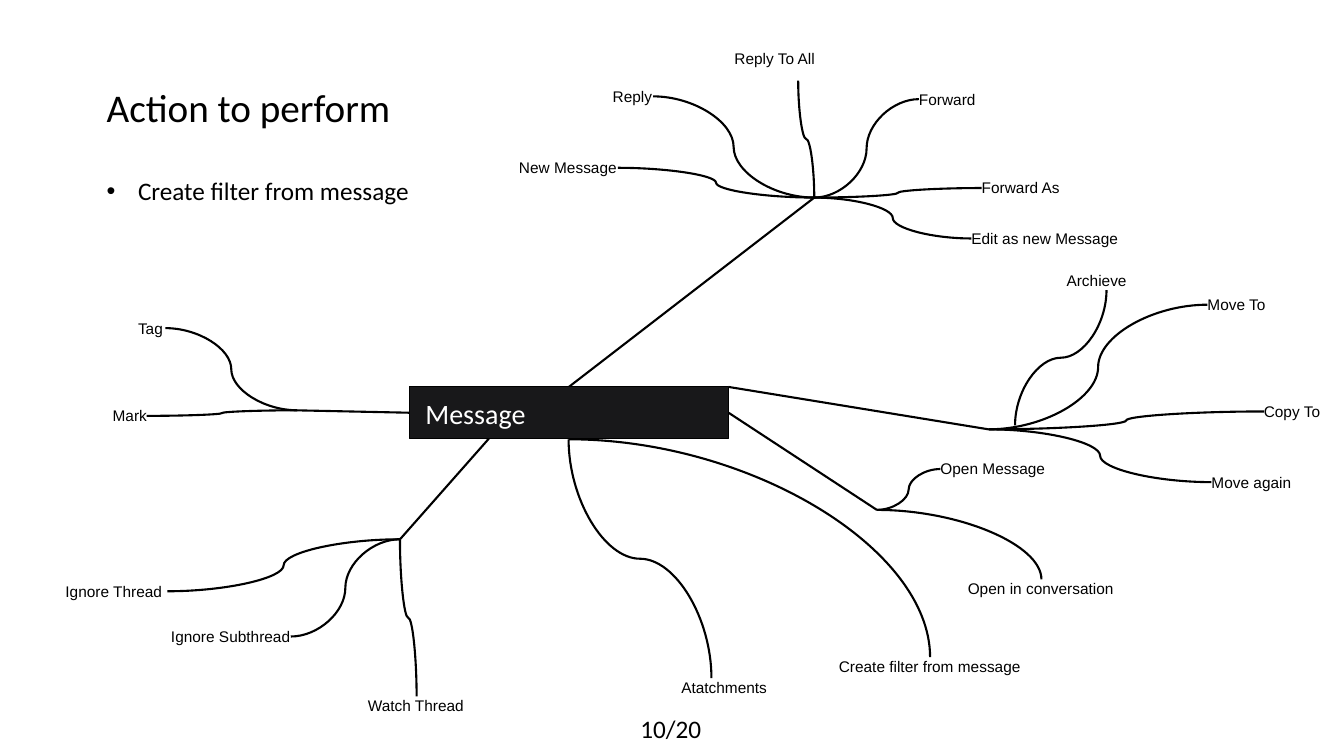
"""Build the mind map slide of actions on a message."""
from collections import namedtuple

from lxml import etree
from pptx import Presentation
from pptx.dml import color
from pptx.enum import shapes, text
from pptx.oxml import ns
from pptx.util import Cm, Pt

Box = namedtuple("Box", "left top width height")
Leaf = namedtuple("Leaf", "label left top width side corner anchor_shift hub_shift",
                  defaults=(False, (0, 0), (0, 0)))
Branch = namedtuple("Branch", "hub root leaves")

BLACK, WHITE, CHARCOAL = "000000", "FFFFFF", "18181A"
LABEL_HEIGHT, LABEL_SLACK = 0.48, 0.3
SIDES = {"left": (0, 0.5), "right": (1, 0.5), "top": (0.5, 0), "bottom": (0.5, 1)}

NODE = Box(10.31, 9.75, 8.05, 1.3)
BRANCHES = [
    Branch((20.52, 4.98), (0.5, 0), [
        Leaf("New Message", -7.44, -0.99, 2.49, "right"),
        Leaf("Reply", -5.08, -2.79, 1.02, "right"),
        Leaf("Reply To All", -2.01, -3.73, 2.11, "bottom", anchor_shift=(0.55, 0.3)),
        Leaf("Forward", 2.64, -2.72, 1.45, "left"),
        Leaf("Forward As", 4.22, -0.48, 2.01, "left"),
        Leaf("Edit as new Message", 3.96, 0.79, 3.73, "left"),
    ]),
    Branch((22.1, 12.85), (1, 0.5), [
        Leaf("Open Message", 1.6, -1.27, 2.64, "left"),
        Leaf("Open in conversation", 2.29, 1.75, 3.71, "top", corner=True),
    ]),
    Branch((7.49, 10.34), (0, 0.5), [
        Leaf("Tag", -4.01, -2.31, 0.69, "right"),
        Leaf("Mark", -4.65, -0.1, 0.86, "right"),
    ]),
    Branch((24.92, 10.82), (1, 0), [
        Leaf("Archieve", 1.96, -3.99, 2.01, "bottom", hub_shift=(0.66, -0.1)),
        Leaf("Move To", 5.51, -3.38, 1.85, "left"),
        Leaf("Copy To", 6.93, -0.69, 1.85, "left"),
        Leaf("Move again", 5.61, 1.09, 2.59, "left"),
    ]),
    Branch((10.08, 13.59), (0.25, 1), [
        Leaf("Ignore Thread", -8.43, 1.07, 2.57, "right"),
        Leaf("Ignore Subthread", -5.77, 2.21, 3.02, "right"),
        Leaf("Watch Thread", -0.81, 3.96, 2.46, "top"),
    ]),
    Branch((14.33, 11.07), None, [
        Leaf("Atatchments", 2.84, 6.02, 2.18, "top", anchor_shift=(-0.33, 0)),
        Leaf("Create filter from message", 6.81, 5.49, 4.6, "top", corner=True),
    ]),
]


def rgb(value):
    """Return the colour for a hex string."""
    return color.RGBColor.from_string(value)


def point_on(box, fractions):
    """Return the point at the given fractions of a box."""
    return box.left + box.width * fractions[0], box.top + box.height * fractions[1]


def add_text(page, box, words, size, font="Calibri", ink=BLACK, inset=True):
    """Add one line of text and return its paragraph."""
    frame = page.shapes.add_textbox(*map(Cm, box)).text_frame
    frame.word_wrap = True
    frame.auto_size = text.MSO_AUTO_SIZE.SHAPE_TO_FIT_TEXT
    if not inset:
        frame.margin_left = frame.margin_right = frame.margin_top = frame.margin_bottom = 0
    frame.text = words
    para = frame.paragraphs[0]
    span = para.runs[0]
    span.font.name, span.font.size = font, Pt(size)
    span.font.color.rgb = rgb(ink)
    return para


def add_line(page, start, end, kind=shapes.MSO_CONNECTOR.STRAIGHT):
    """Add a plain black connector between two points."""
    line = page.shapes.add_connector(kind, *map(Cm, (*start, *end)))
    line.line.color.rgb = rgb(BLACK)
    line.line.width = Pt(1.5)
    etree.SubElement(line._element.spPr, ns.qn("a:effectLst"))
    return line


def add_vertical_curve(page, first, second):
    """Add an S-curve that leaves both points vertically."""
    (x1, y1), (x2, y2) = sorted((first, second), key=lambda point: point[1])
    mid_x, mid_y = (x1 + x2) / 2, (y1 + y2) / 2
    half_length, half_drop = (y2 - y1) / 2, (x1 - x2) / 2
    curve = add_line(page, (mid_x - half_length, mid_y - half_drop),
                     (mid_x + half_length, mid_y + half_drop), shapes.MSO_CONNECTOR.CURVE)
    curve._element.spPr.find(ns.qn("a:xfrm")).set("rot", "5400000")


def add_twig(page, hub, anchor, leaf):
    """Join a hub to the anchor of its leaf."""
    if leaf.side in ("top", "bottom") and not leaf.corner:
        add_vertical_curve(page, hub, anchor)
        return
    curve = add_line(page, hub, anchor, shapes.MSO_CONNECTOR.CURVE)
    if leaf.corner:
        curve._element.spPr.find(ns.qn("a:prstGeom")).set("prst", "curvedConnector2")


def draw_branch(page, node, branch):
    """Draw a trunk from the node and the leaves around its hub."""
    hub_x, hub_y = branch.hub
    if branch.root:
        add_line(page, point_on(node, branch.root), branch.hub)
    for leaf in branch.leaves:
        box = Box(hub_x + leaf.left, hub_y + leaf.top, leaf.width, LABEL_HEIGHT)
        roomy_box = box._replace(width=box.width + LABEL_SLACK)
        add_text(page, roomy_box, leaf.label, 11, "Arial", inset=False)
        x, y = point_on(box, SIDES[leaf.side])
        anchor = x + leaf.anchor_shift[0], y + leaf.anchor_shift[1]
        end = hub_x + leaf.hub_shift[0], hub_y + leaf.hub_shift[1]
        add_twig(page, end, anchor, leaf)


def draw_node(page, box):
    """Draw the central message bar."""
    bar = page.shapes.add_shape(shapes.MSO_SHAPE.RECTANGLE, *map(Cm, box))
    bar.shadow.inherit = False
    bar.fill.solid()
    bar.fill.fore_color.rgb = rgb(CHARCOAL)
    bar.line.color.rgb = rgb(BLACK)
    bar.line.width = Pt(0.75)
    label = Box(box.left + 0.41, box.top + 0.23, 2.57 + LABEL_SLACK, 0.86)
    add_text(page, label, "Message", 20, ink=WHITE, inset=False)


def draw_heading(page, box):
    """Draw the title and the bullet below it."""
    add_text(page, Box(box.left, box.top, box.width, 1.45), "Action to perform", 28)
    bullet_box = Box(box.left, box.top + 2.32, 10.49, 1.02)
    para = add_text(page, bullet_box, "Create filter from message", 18)
    props = para._p.get_or_add_pPr()
    props.set("marL", str(Cm(0.79)))
    props.set("indent", str(-Cm(0.79)))
    etree.SubElement(props, ns.qn("a:buFont")).set("typeface", "Arial")
    etree.SubElement(props, ns.qn("a:buChar")).set("char", "•")


def draw_footer(page, box):
    """Draw the centred page count."""
    add_text(page, box, "10/20", 18).alignment = text.PP_ALIGN.CENTER


def main():
    """Build and save the deck."""
    deck = Presentation()
    deck.slide_width, deck.slide_height = Cm(33.87), Cm(19.05)
    page = deck.slides.add_slide(deck.slide_layouts[6])
    for branch in BRANCHES:
        draw_branch(page, NODE, branch)
    draw_node(page, NODE)
    draw_heading(page, Box(2.44, 1.98, 12.6, 3.34))
    draw_footer(page, Box(-0.03, 17.86, 33.87, 1.02))
    deck.save("out.pptx")


main()
